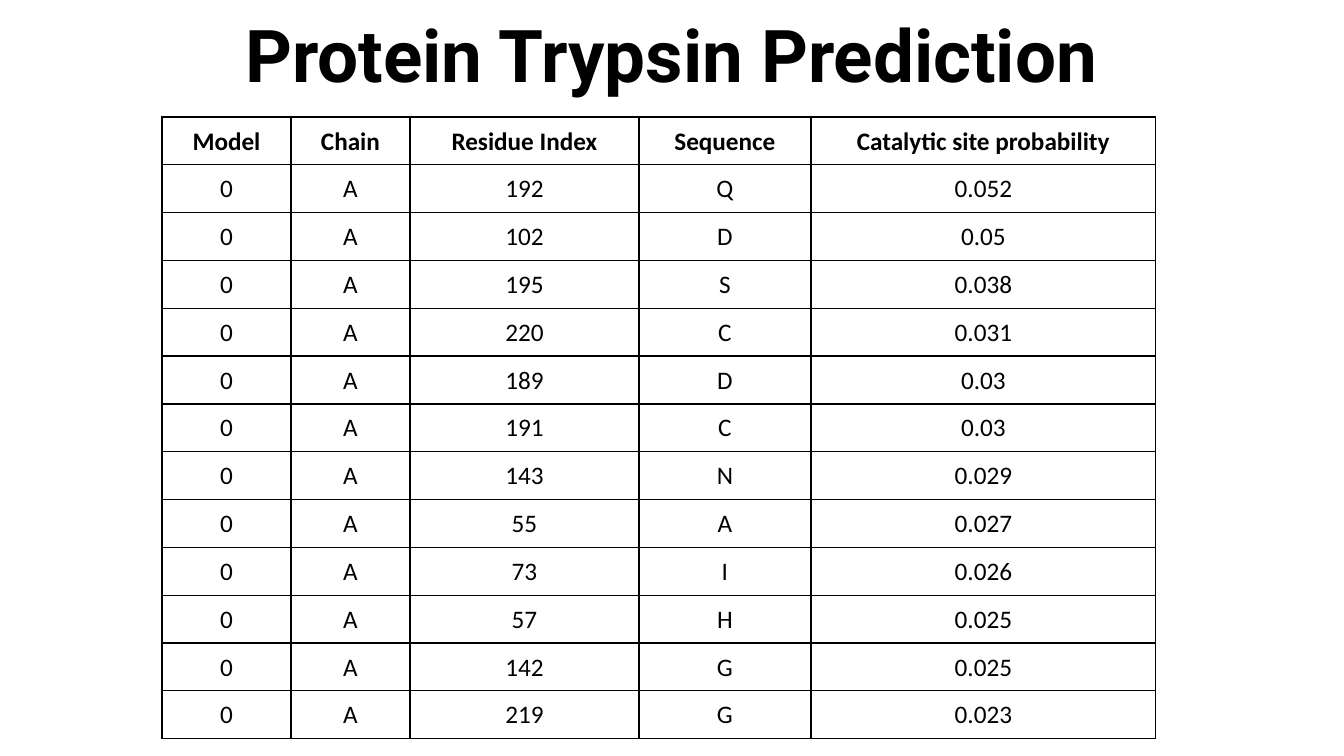
import pptx
import pptx.dml.color
import pptx.enum.text
import pptx.oxml
import pptx.oxml.ns
import pptx.util

EMU_PER_PX = 914400 / 100.8
BLACK = "000000"
COLUMN_WIDTHS = [129, 119, 229, 172, 345]
HEADERS = ["Model", "Chain", "Residue Index", "Sequence", "Catalytic site probability"]
RESIDUES = [
    ("192", "Q", "0.052"),
    ("102", "D", "0.05"),
    ("195", "S", "0.038"),
    ("220", "C", "0.031"),
    ("189", "D", "0.03"),
    ("191", "C", "0.03"),
    ("143", "N", "0.029"),
    ("55", "A", "0.027"),
    ("73", "I", "0.026"),
    ("57", "H", "0.025"),
    ("142", "G", "0.025"),
    ("219", "G", "0.023"),
]


def px(n):
    return pptx.util.Emu(round(n * EMU_PER_PX))


def color(value):
    return pptx.dml.color.RGBColor.from_string(value)


def write(tf, text, font="Calibri", size=18, bold=False, fill=BLACK, spacing=1.0):
    p = tf.paragraphs[0]
    p.alignment = pptx.enum.text.PP_ALIGN.CENTER
    p.line_spacing = spacing
    r = p.add_run()
    r.text = text
    r.font.name = font
    r.font.size = pptx.util.Pt(size)
    r.font.bold = bold
    r.font.color.rgb = color(fill)


def add_borders(cell, value, width):
    tcPr = cell._tc.get_or_add_tcPr()
    for side in ("lnL", "lnR", "lnT", "lnB"):
        tcPr.append(pptx.oxml.parse_xml(
            f'<a:{side} {pptx.oxml.ns.nsdecls("a")} w="{pptx.util.Pt(width)}">'
            f'<a:solidFill><a:srgbClr val="{value}"/></a:solidFill></a:{side}>'))


def place_title(slide, text, x, y, w, h):
    sp = slide.shapes.title
    sp.left, sp.top, sp.width, sp.height = px(x), px(y), px(w), px(h)
    tf = sp.text_frame
    tf.word_wrap = True
    tf.auto_size = pptx.enum.text.MSO_AUTO_SIZE.NONE
    tf.vertical_anchor = pptx.enum.text.MSO_ANCHOR.MIDDLE
    write(tf, text, font="Roboto", size=52, bold=True, spacing=0.9)


def add_residue_table(slide, rows, x, y, w, h):
    frame = slide.shapes.add_table(len(rows), len(COLUMN_WIDTHS), px(x), px(y), px(w), px(h))
    table = frame.table
    table.horz_banding = False
    for column, width in zip(table.columns, COLUMN_WIDTHS):
        column.width = px(width)
    for i, values in enumerate(rows):
        table.rows[i].height = px(h / len(rows))
        for j, value in enumerate(values):
            cell = table.cell(i, j)
            cell.margin_left = cell.margin_right = cell.margin_top = px(1)
            cell.margin_bottom = 0
            cell.vertical_anchor = pptx.enum.text.MSO_ANCHOR.MIDDLE
            add_borders(cell, BLACK, 1)
            cell.fill.background()
            write(cell.text_frame, value, bold=i == 0)


def main():
    prs = pptx.Presentation()
    prs.slide_width, prs.slide_height = px(1344), px(756)
    slide = prs.slides.add_slide(prs.slide_layouts.get_by_name("Title Only"))
    place_title(slide, "Protein Trypsin Prediction", 200, 0, 943, 117)
    rows = [HEADERS] + [("0", "A", *residue) for residue in RESIDUES]
    add_residue_table(slide, rows, 162, 117, sum(COLUMN_WIDTHS), 622)
    prs.save("out.pptx")


if __name__ == "__main__":
    main()
